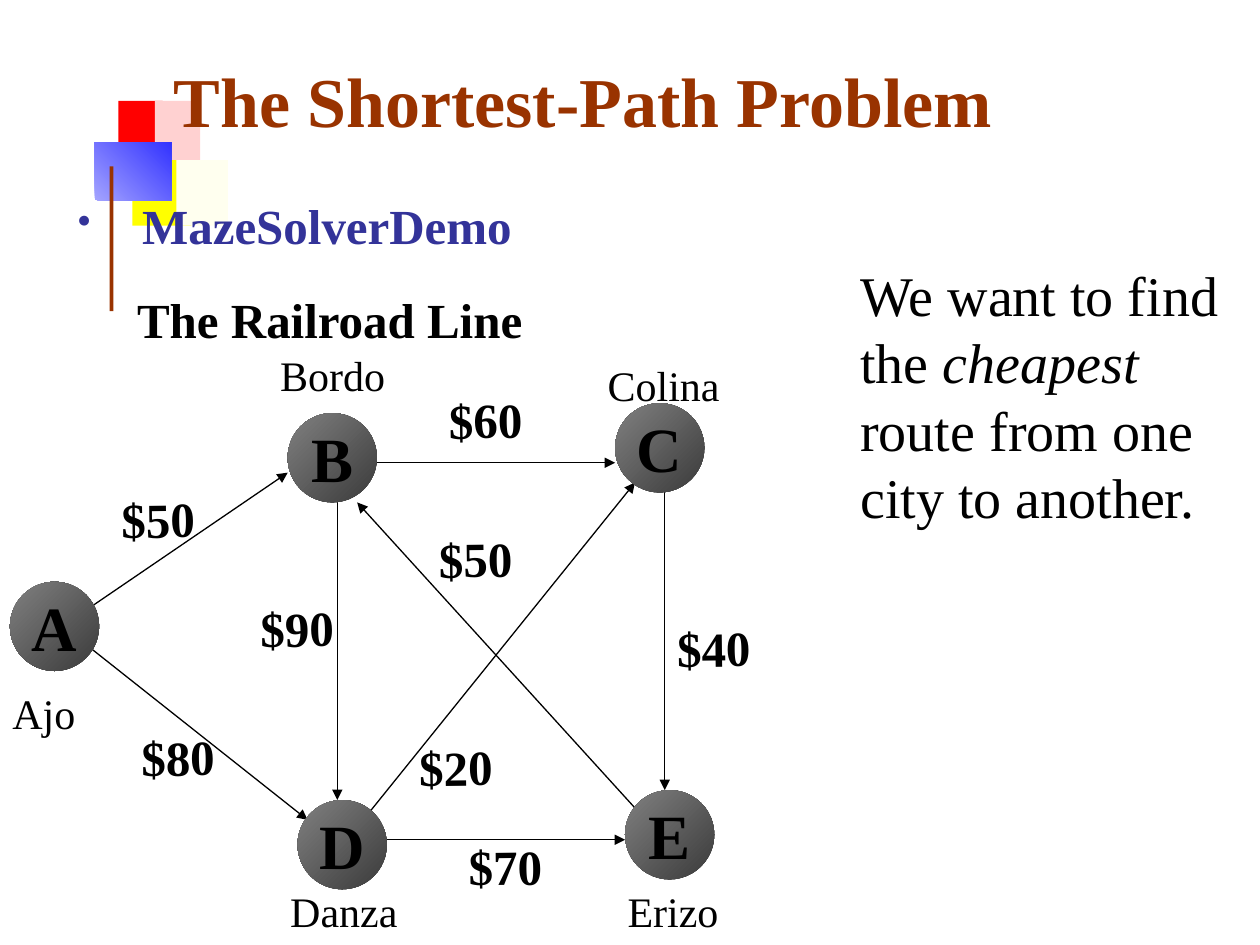
from lxml.etree import SubElement
from pptx import Presentation
from pptx.dml.color import RGBColor
from pptx.enum.shapes import MSO_CONNECTOR, MSO_SHAPE
from pptx.enum.text import MSO_ANCHOR, PP_ALIGN
from pptx.oxml.ns import qn
from pptx.util import Inches, Pt

COLOR = {
    "black": "000000", "brown": "993300", "navy": "333399",
    "red": "FF0000", "pink": "FFD1D1", "yellow": "FFFF00", "cream": "FFFFEF",
    "pale": "A3A3FF", "blue": "3333FF", "dark": "3B3B3B", "gray": "808080",
}
FONT = "Times New Roman"

deck = Presentation()
deck.slide_width, deck.slide_height = Inches(10), Inches(7.5)
slide = deck.slides.add_slide(deck.slide_layouts[6])
shapes = slide.shapes

# The graph sits on a 2 mm grid whose row 0 is the top of node C
UNIT, TOP = 2 / 25.4, 3.2


def write(shape, text, size=28, color="black", bold=False, wrap=False,
          align=PP_ALIGN.LEFT, anchor=MSO_ANCHOR.TOP, line=None):
    """Fill a shape with one paragraph; parts between * are italic."""
    frame = shape.text_frame
    frame.word_wrap, frame.vertical_anchor = wrap, anchor
    para = frame.paragraphs[0]
    para.alignment = align
    if line:
        para.line_spacing = Pt(line)
    for i, part in enumerate(text.split("*")):
        run = para.add_run()
        run.text = part
        font = run.font
        font.name, font.size, font.bold = FONT, Pt(size), bold
        font.italic = i % 2 == 1
        font.color.rgb = RGBColor.from_string(COLOR[color])
    return para


def draw(kind, x, y, w, h, *colors, angle=0):
    """Add a shape in inches, with a solid fill or a two-colour gradient."""
    shape = shapes.add_shape(kind, Inches(x), Inches(y), Inches(w), Inches(h))
    shape.shadow.inherit = False
    shape.line.fill.background()
    tones = [RGBColor.from_string(COLOR[c]) for c in colors]
    if len(tones) == 1:
        shape.fill.solid()
        shape.fill.fore_color.rgb = tones[0]
    else:
        shape.fill.gradient()
        shape.fill.gradient_angle = angle
        for stop, tone in zip(shape.fill.gradient_stops, tones):
            stop.color.rgb = tone
    return shape


# Corner ornament
for x, y, w, h, *tones in [
    (0.94, 0.8, 0.35, 0.52, "red"),
    (1.23, 0.8, 0.36, 0.52, "pink"),
    (1.05, 1.27, 0.47, 0.52, "yellow"),
    (1.4, 1.27, 0.41, 0.52, "cream"),
    (0.75, 1.13, 0.61, 0.46, "pale", "blue"),
    (0.87, 1.32, 0.03, 1.15, "brown"),
]:
    draw(MSO_SHAPE.RECTANGLE, x, y, w, h, *tones, angle=45)

# Title, bullet, heading and remark
paras = []
for x, y, w, h, text, form in [
    (1.22, 0.25, 8.63, 0.92, "The Shortest-Path Problem",
     dict(size=40, color="brown", bold=True, wrap=True, line=48,
          anchor=MSO_ANCHOR.BOTTOM)),
    (0.42, 1.5, 9.38, 0.68, "MazeSolverDemo",
     dict(color="navy", bold=True, wrap=True, line=34)),
    (0.99, 2.25, 3.26, 0.57, "The Railroad Line", dict(bold=True)),
    (6.73, 2.02, 3.07, 2.24,
     "We want to find the *cheapest* route from one city to another.",
     dict(size=32, wrap=True)),
]:
    area = shapes.add_textbox(Inches(x), Inches(y), Inches(w), Inches(h))
    paras.append(write(area, text, **form))

for para, left, hang in [(paras[0], 0.06, 0), (paras[1], 0.61, -0.51)]:
    props = para._p.get_or_add_pPr()
    props.set("marL", str(Inches(left)))
    props.set("indent", str(Inches(hang)))
tint = SubElement(props, qn("a:buClr"))
SubElement(tint, qn("a:srgbClr"), val=COLOR["navy"])
SubElement(props, qn("a:buSzPct"), val="77000")
SubElement(props, qn("a:buChar"), char="•")

# Routes: start column and row, end column and row
for route in [
    (34, 9, 34, 40), (35, 44, 64, 8), (7, 23, 31, 42), (7, 22, 29, 7),
    (37, 6, 62, 6), (66, 43, 36, 10), (35, 44, 63, 44), (67, 5, 67, 39),
]:
    ends = [Inches(n * UNIT + (TOP if i % 2 else 0))
            for i, n in enumerate(route)]
    arrow = shapes.add_connector(MSO_CONNECTOR.STRAIGHT, *ends)
    arrow.line.width = Pt(0.75)
    arrow.line.color.rgb = RGBColor.from_string(COLOR["black"])
    SubElement(arrow.line._get_or_add_ln(), qn("a:tailEnd"), type="triangle")
    SubElement(arrow._element.spPr, qn("a:effectLst"))

# Cities: circles nine units wide
for name, col, row in [("A", 1, 18), ("B", 29, 1), ("C", 62, 0),
                       ("E", 63, 39), ("D", 30, 40)]:
    node = draw(MSO_SHAPE.OVAL, col * UNIT, TOP + row * UNIT,
                9 * UNIT, 9 * UNIT, "dark", "gray", angle=135)
    write(node, name, size=36, bold=True, align=PP_ALIGN.CENTER,
          anchor=MSO_ANCHOR.MIDDLE)

# City names
for name, col, row, wide in [
    ("Ajo", 0, 28, 0.7), ("Bordo", 27, -6, 1.03), ("Colina", 60, -5, 1.09),
    ("Danza", 28, 48, 1.05), ("Erizo", 62, 48, 0.92),
]:
    label = shapes.add_textbox(Inches(col * UNIT), Inches(TOP + row * UNIT),
                               Inches(wide), Inches(0.5))
    write(label, name, size=24)

# Fares
for fare, col, row in [
    ("$50", 43, 12), ("$60", 44, -2), ("$40", 67, 21), ("$50", 11, 8),
    ("$90", 25, 19), ("$80", 13, 32), ("$70", 46, 43), ("$20", 41, 33),
]:
    tag = shapes.add_textbox(Inches(col * UNIT), Inches(TOP + row * UNIT),
                             Inches(12 * UNIT), Inches(0.57))
    tag.rotation = -0.7
    write(tag, fare, bold=True, wrap=True)

deck.save("out.pptx")
